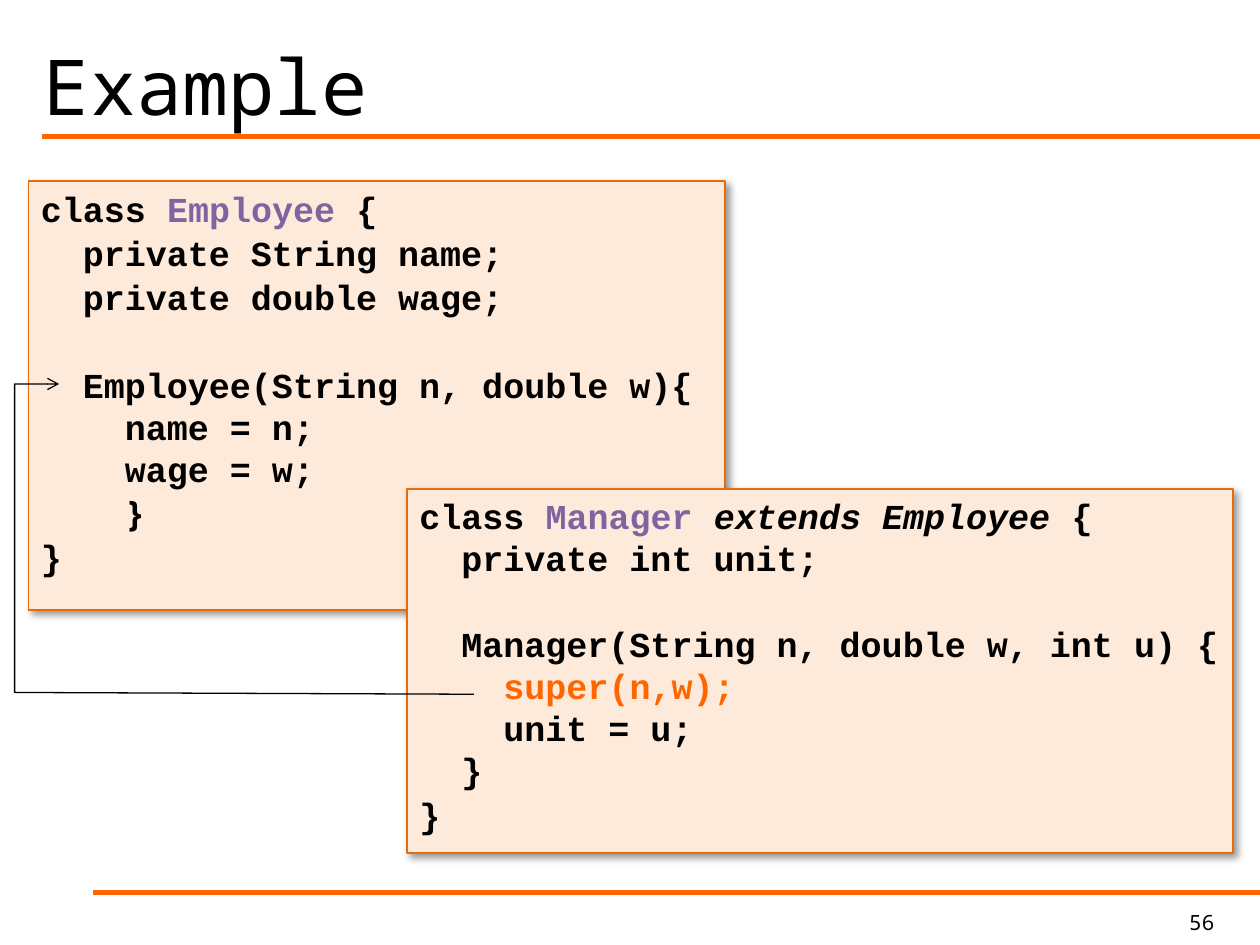
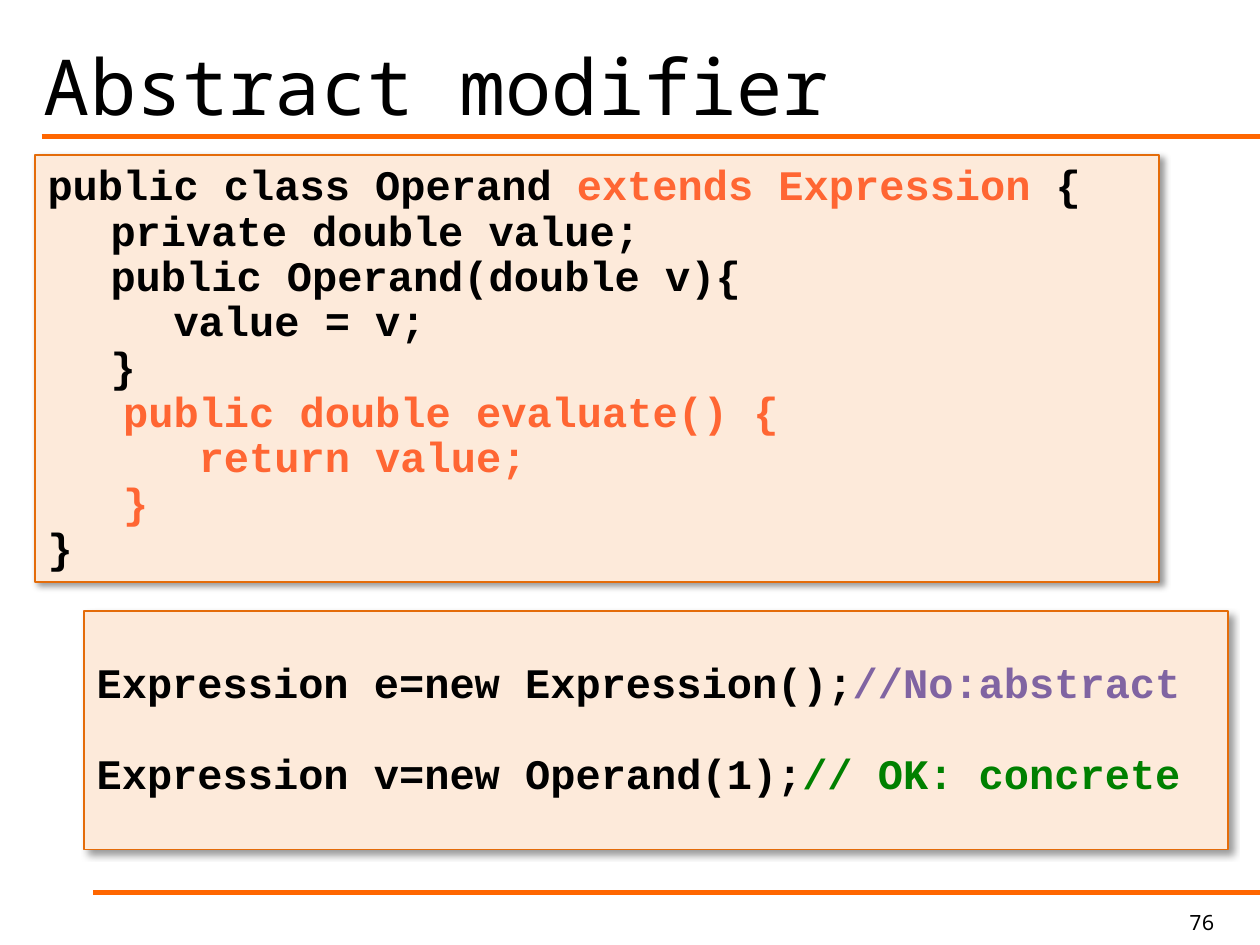
from lxml.etree import SubElement
from pptx import Presentation
from pptx.dml.color import RGBColor
from pptx.enum.shapes import MSO_CONNECTOR as Connector, MSO_SHAPE as Shape
from pptx.enum.text import MSO_ANCHOR as Anchor, PP_ALIGN as Align
from pptx.oxml.ns import qn
from pptx.util import Pt

BLACK = "000000"
ORANGE = "FF6600"
CORAL = "FF6633"
PURPLE = "8064A2"
GREEN = "008000"
BOX_FILL = "FDEADA"
BOX_LINE = "E46C0A"
CODE_FONT = "Courier New"
TEXT_FONT = "Noto Sans Mono"
TAB_STEP = 36
TAB_COUNT = 7


def color(value):
    return RGBColor.from_string(value)


def set_attributes(target, values):
    for name, value in values.items():
        setattr(target, name, value)


def add_element(parent, tag, **attributes):
    values = {name: str(value) for name, value in attributes.items()}
    return SubElement(parent, qn(tag), values)


def set_line(shape, tint, width):
    shape.line.color.rgb = color(tint)
    shape.line.width = Pt(width)


def add_rule(slide, left, y):
    rule = slide.shapes.add_connector(Connector.STRAIGHT, Pt(left), Pt(y), Pt(720), Pt(y))
    set_line(rule, ORANGE, 3)
    add_element(rule._element.spPr, "a:effectLst")


def add_run(paragraph, text, size, font=CODE_FONT, tint=BLACK, bold=True, italic=False):
    run = paragraph.add_run()
    run.text = text
    set_attributes(run.font, {"name": font, "size": Pt(size), "bold": bold, "italic": italic})
    run.font.color.rgb = color(tint)


def add_label(slide, place, text, size, align, anchor):
    frame = slide.shapes.add_textbox(*map(Pt, place)).text_frame
    set_attributes(frame, {"word_wrap": True, "vertical_anchor": anchor})
    paragraph = frame.paragraphs[0]
    paragraph.alignment = align
    add_run(paragraph, text, size, TEXT_FONT, bold=False)


def add_base_slide(presentation, title, number):
    slide = presentation.slides.add_slide(presentation.slide_layouts[6])
    add_rule(slide, 23.8, 78.1)
    add_rule(slide, 53.3, 510.1)
    add_label(slide, (18, 12.2, 678, 72), title, 44, Align.LEFT, Anchor.MIDDLE)
    add_label(slide, (594, 516, 107, 24), number, 12, Align.RIGHT, Anchor.TOP)
    return slide


def add_shadow(shape):
    effects = add_element(shape._element.spPr, "a:effectLst")
    shadow = add_element(effects, "a:outerShdw", blurRad=Pt(4), dist=Pt(3),
                         dir=45 * 60000, algn="tl", rotWithShape=0)
    tint = add_element(shadow, "a:srgbClr", val=BLACK)
    add_element(tint, "a:alpha", val=40000)


def code_line(*runs, **spacing):
    return runs, spacing


def add_code_box(slide, place, size, lines, spacing, anchor=Anchor.TOP, wrap=True):
    box = slide.shapes.add_shape(Shape.RECTANGLE, *map(Pt, place))
    box.fill.solid()
    box.fill.fore_color.rgb = color(BOX_FILL)
    set_line(box, BOX_LINE, 1)
    add_shadow(box)
    frame = box.text_frame
    set_attributes(frame, {"word_wrap": wrap, "vertical_anchor": anchor})
    for index, (runs, changes) in enumerate(lines):
        paragraph = frame.add_paragraph() if index else frame.paragraphs[0]
        stops = add_element(paragraph._p.get_or_add_pPr(), "a:tabLst")
        for step in range(1, TAB_COUNT + 1):
            add_element(stops, "a:tab", pos=Pt(step * TAB_STEP), algn="l")
        set_attributes(paragraph, {"alignment": Align.LEFT, **spacing, **changes})
        for run in runs:
            text, style = (run, {}) if isinstance(run, str) else run
            add_run(paragraph, text, size, **style)


def add_call_arrow(slide, points):
    start, *rest = [(Pt(x), Pt(y)) for x, y in points]
    builder = slide.shapes.build_freeform(*start)
    builder.add_line_segments(rest, close=False)
    arrow = builder.convert_to_shape()
    arrow.fill.background()
    set_line(arrow, BLACK, 0.75)
    arrow.shadow.inherit = False
    add_element(arrow.line._get_or_add_ln(), "a:tailEnd", type="arrow")


def add_inheritance_slide(presentation):
    slide = add_base_slide(presentation, "Example", "56")
    spacing = {"space_after": Pt(1.2)}
    joined = {"space_after": Pt(0)}
    tight = {"line_spacing": 0.95}
    gap = {"space_before": Pt(25.2)}
    employee = [
        code_line("class ", ("Employee ", {"tint": PURPLE}), "{"),
        code_line("  private String name;"),
        code_line("  private double wage;"),
        code_line("  Employee(String n, double w){", **gap, **joined),
        code_line("    name = n;", **joined),
        code_line("    wage = w;"),
        code_line(("    ", {"font": TEXT_FONT, "bold": False}), ("}", {"font": TEXT_FONT})),
        code_line("}"),
    ]
    manager = [
        code_line("class ", ("Manager ", {"tint": PURPLE}),
                  ("extends Employee", {"italic": True}), " {", **joined),
        code_line("  private int unit;"),
        code_line("  Manager(String n, double w, int u) {", **gap, **tight),
        code_line("    ", ("super(n,w);", {"tint": ORANGE}), **tight),
        code_line("    unit = u;", **tight),
        code_line("  }", **tight),
        code_line("}"),
    ]
    add_code_box(slide, (16.2, 103.5, 398.3, 245), 20, employee, spacing)
    add_code_box(slide, (232.5, 279.3, 472, 208.3), 20, manager, spacing)
    add_call_arrow(slide, [(270.9, 396.7), (8.4, 395.7), (8.4, 219.4), (33.8, 219.4)])


def add_abstract_slide(presentation):
    slide = add_base_slide(presentation, "Abstract modifier", "76")
    spacing = {"line_spacing": 0.9}
    coral = {"tint": CORAL}
    operand = [
        code_line("public class Operand ", ("extends Expression ", coral), "{"),
        code_line("\tprivate double value;"),
        code_line("\tpublic Operand(double v){"),
        code_line("\t\tvalue = v;"),
        code_line("\t}"),
        code_line(("   public double evaluate() {", coral)),
        code_line(("      return value;", coral)),
        code_line(("   }", coral)),
        code_line("}"),
    ]
    usage = [
        code_line("Expression e=new Expression();", ("//No:abstract", {"tint": PURPLE})),
        code_line("Expression v=new Operand(1);", ("// OK: concrete", {"tint": GREEN}),
                  space_before=Pt(25.9)),
    ]
    add_code_box(slide, (20.1, 88.6, 642.1, 243.8), 24, operand, spacing, Anchor.MIDDLE, False)
    add_code_box(slide, (48.1, 349.3, 653.8, 136.2), 24, usage, spacing, Anchor.MIDDLE, False)


def main():
    presentation = Presentation()
    set_attributes(presentation, {"slide_width": Pt(720), "slide_height": Pt(540)})
    add_inheritance_slide(presentation)
    add_abstract_slide(presentation)
    presentation.save("out.pptx")


if __name__ == "__main__":
    main()
